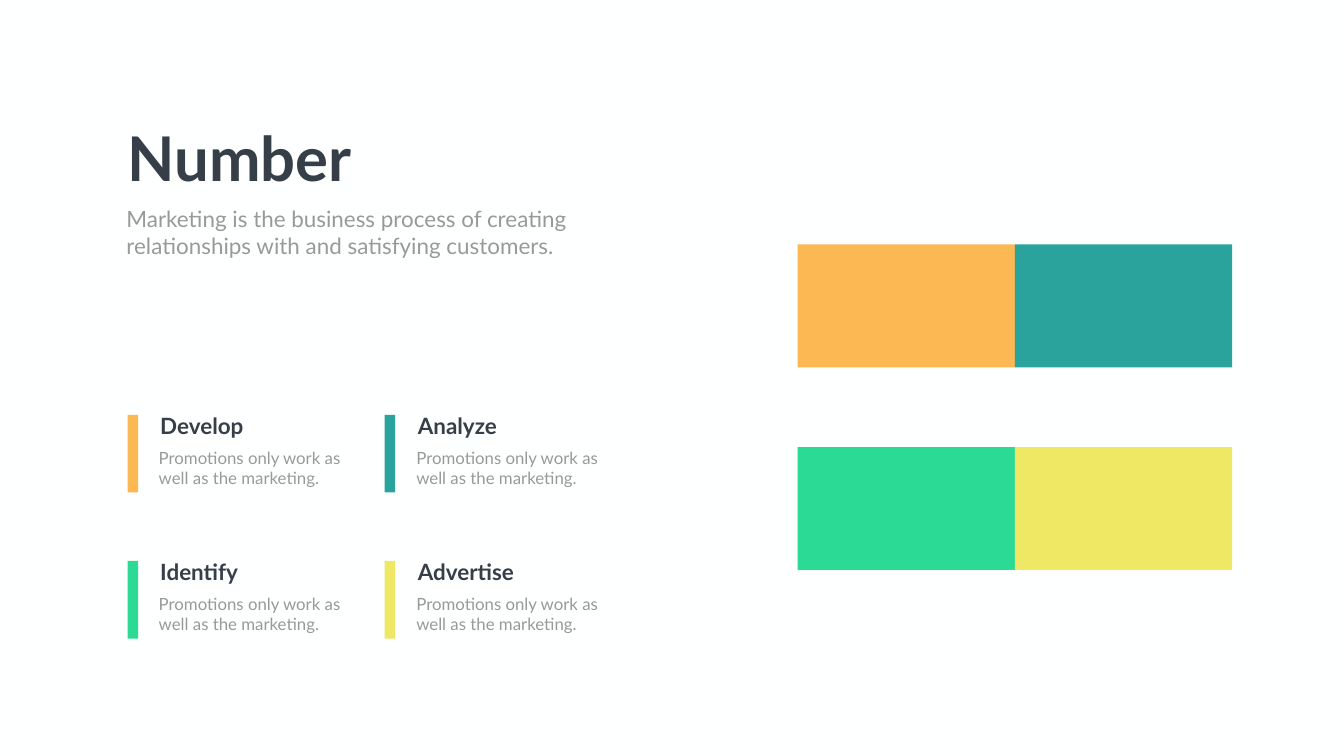
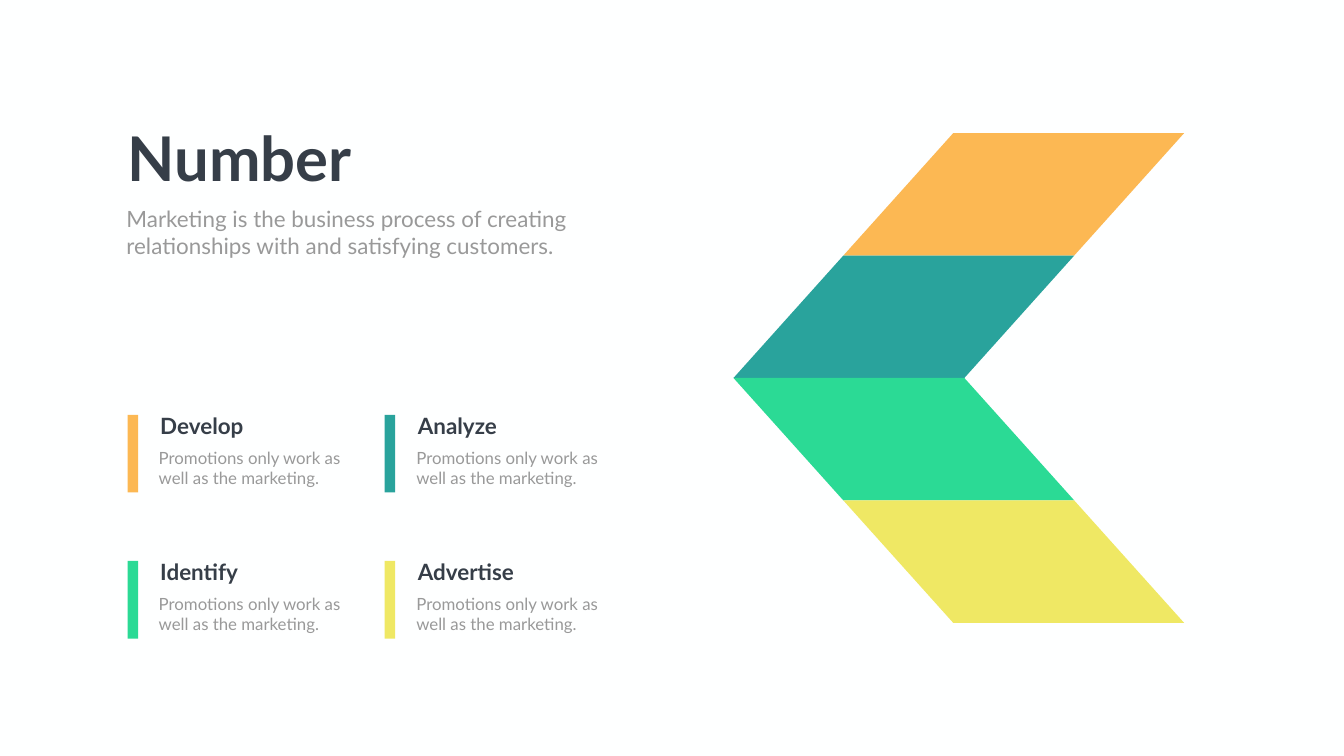
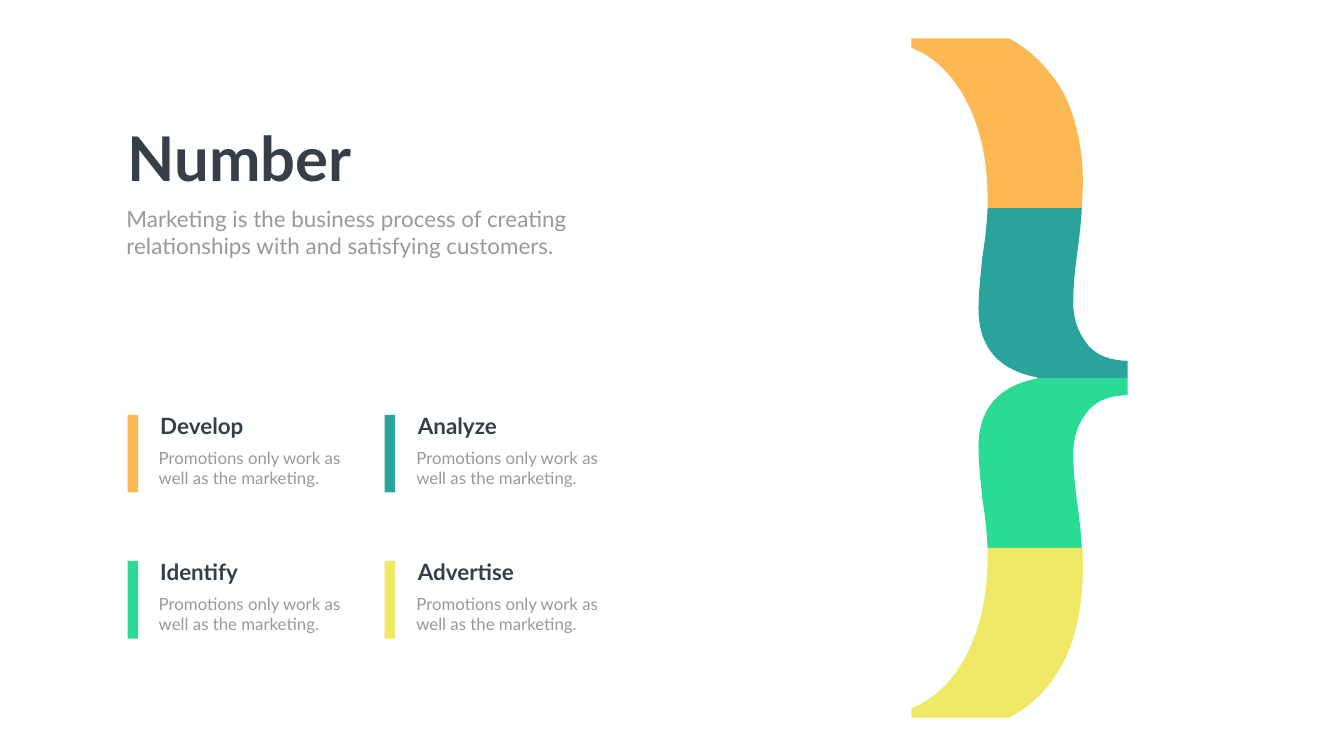
from lxml import etree
from pptx import Presentation
from pptx.dml.color import RGBColor
from pptx.enum import shapes, text
from pptx.oxml import ns
from pptx import util as u

WIDE, HIGH = 26.66, 15
MID = HIGH / 2
PAPER = RGBColor(0xFE, 0xFF, 0xFF)
INK = RGBColor(0x36, 0x3E, 0x48)
GREY = RGBColor(0x99, 0x99, 0x99)
GOLD = RGBColor(0xFC, 0xB8, 0x53)
TEAL = RGBColor(0x29, 0xA3, 0x9C)
GREEN = RGBColor(0x2B, 0xDA, 0x95)
LEMON = RGBColor(0xEF, 0xE8, 0x64)
HUES = (GOLD, TEAL, GREEN, LEMON)
ITEMS = ("Develop", "Analyze", "Identify", "Advertise")
INTRO = ("Marketing is the business process of creating",
         "relationships with and satisfying customers.")
NOTE = "Promotions only work as well as the marketing."

HOOK = [(20.01, 0.76),
        (20.31, 0.91, 20.61, 1.16, 20.89, 1.53),
        (21.07, 1.75, 21.21, 2.04, 21.32, 2.42),
        (21.43, 2.81, 21.48, 3.19, 21.48, 3.59),
        (21.48, 3.76, 21.47, 3.94, 21.46, 4.13),
        (19.59, 4.13),
        (19.59, 4.07, 19.59, 4.01, 19.59, 3.94),
        (19.59, 3.18, 19.45, 2.55, 19.17, 2),
        (18.89, 1.47, 18.52, 1.12, 18.08, 0.95),
        (18.08, 0.76)]
STEM = [(20.58, 7.49),
        (19.8, 7.34, 19.41, 6.89, 19.41, 6.12),
        (19.41, 5.89, 19.44, 5.54, 19.49, 5.08),
        (19.55, 4.71, 19.58, 4.39, 19.59, 4.13),
        (21.46, 4.13),
        (21.45, 4.37, 21.42, 4.61, 21.39, 4.87),
        (21.32, 5.34, 21.29, 5.72, 21.29, 6.01),
        (21.29, 6.3, 21.37, 6.56, 21.54, 6.79),
        (21.7, 7.03, 21.98, 7.15, 22.37, 7.16),
        (22.37, 7.5), (20.58, 7.5)]
TAIL = [(19.17, 13),
        (19.45, 12.45, 19.59, 11.81, 19.59, 11.05),
        (19.59, 10.99, 19.59, 10.93, 19.59, 10.87),
        (21.47, 10.87),
        (21.48, 11.01, 21.48, 11.14, 21.48, 11.25),
        (21.48, 12.25, 21.25, 13.03, 20.81, 13.58),
        (20.58, 13.87, 20.31, 14.09, 20.01, 14.24),
        (18.08, 14.24), (18.08, 14.05),
        (18.52, 13.88, 18.89, 13.53, 19.17, 13)]


def paint(shape, hue):
    shape.shadow.inherit = False
    shape.fill.solid()
    shape.fill.fore_color.rgb = hue
    shape.line.fill.background()


def block(host, left, top, wide, high, hue):
    box = map(u.Inches, (left, top, wide, high))
    paint(host.shapes.add_shape(shapes.MSO_SHAPE.RECTANGLE, *box), hue)


def bend(shape, parts):
    lines = list(shape.element.iter(ns.qn("a:lnTo")))
    for line, part in zip(lines, parts[1:]):
        if len(part) == 2:
            continue
        line.tag = ns.qn("a:cubicBezTo")
        line.clear()
        for x, y in zip(part[::2], part[1::2]):
            etree.SubElement(line, ns.qn("a:pt"),
                             x=str(u.Inches(x) - shape.left),
                             y=str(u.Inches(y) - shape.top))


def outline(host, parts, hue):
    spots = [tuple(map(u.Inches, part[-2:])) for part in parts]
    form = host.shapes.build_freeform(*spots[0])
    form.add_line_segments(spots[1:], close=True)
    shape = form.convert_to_shape()
    bend(shape, parts)
    paint(shape, hue)


def flip(parts):
    return [tuple(HIGH - n if i % 2 else n for i, n in enumerate(part))
            for part in parts]


def write(host, lines, left, top, wide, high, size=32, hue=INK, bold=False):
    box = host.shapes.add_textbox(*map(u.Inches, (left, top, wide, high)))
    frame = box.text_frame
    frame.word_wrap = True
    frame.auto_size = text.MSO_AUTO_SIZE.SHAPE_TO_FIT_TEXT
    frame.text = "\n".join(lines)
    for para in frame.paragraphs:
        for run in para.runs:
            font = run.font
            font.name, font.size, font.bold = "Lato", u.Pt(size), bold
            font.color.rgb = hue


def legend(host):
    for i, (name, hue) in enumerate(zip(ITEMS, HUES)):
        row, col = divmod(i, 2)
        top, shift = 8.23 + 2.9 * row, 5.11 * col
        block(host, 2.53 + 5.1 * col, top, 0.21, 1.54, hue)
        write(host, [name], 3.08 + shift, top - 0.1, 2.61, 0.64, bold=True)
        write(host, [NOTE], 3.05 + shift, top + 0.6, 4.01, 0.91,
              size=24, hue=GREY)


def start(deck):
    slide = deck.slides.add_slide(deck.slide_layouts[6])
    slide.background.fill.solid()
    slide.background.fill.fore_color.rgb = PAPER
    return slide


def finish(slide):
    group = slide.shapes.add_group_shape()
    legend(group)
    write(group, ["Number"], 2.43, 2.33, 10.73, 1.58, size=88, bold=True)
    write(group, INTRO, 2.41, 4.03, 9.08, 1.18, hue=GREY)


def equals(slide):
    for i, hue in enumerate(HUES):
        row, col = divmod(i, 2)
        block(slide, 15.82 + 4.31 * col, 4.85 + 4.02 * row, 4.31, 2.44, hue)


def arrow(slide):
    wide, high, lean = 4.58, 2.43, 2.18
    for row, hue in enumerate(HUES):
        (a, top), (b, base) = [(14.55 + lean * abs(edge), MID + high * edge)
                               for edge in (row - 2, row - 1)]
        outline(slide, [(a, top), (a + wide, top),
                        (b + wide, base), (b, base)], hue)


def brace(slide):
    for parts, hue in zip((HOOK, STEM, flip(STEM), TAIL), HUES):
        outline(slide, parts, hue)


def main():
    deck = Presentation()
    deck.slide_width, deck.slide_height = u.Inches(WIDE), u.Inches(HIGH)
    for draw in (equals, arrow, brace):
        slide = start(deck)
        draw(slide)
        finish(slide)
    deck.save("out.pptx")


if __name__ == "__main__":
    main()
